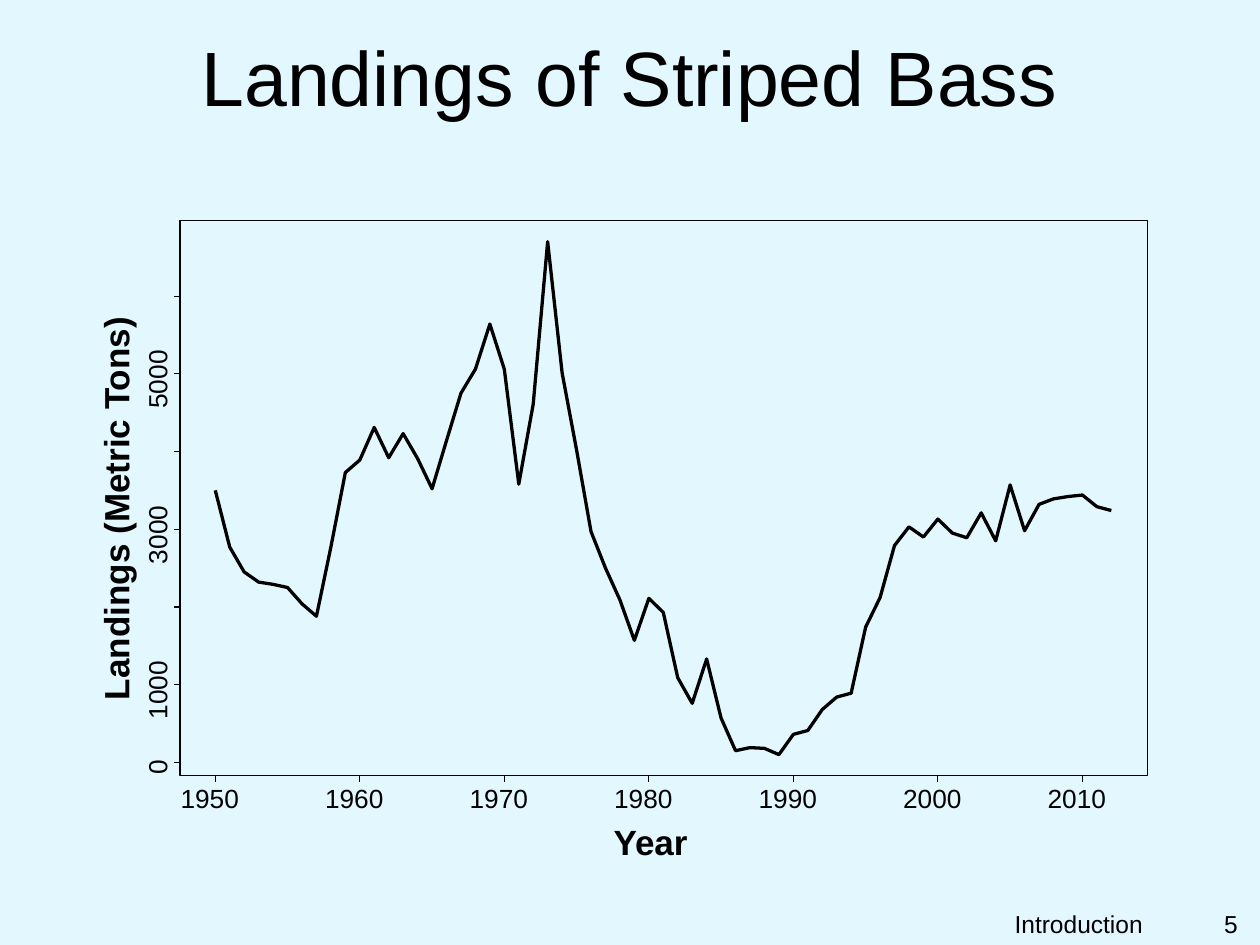
from lxml import etree
from pptx import Presentation
from pptx.dml.color import RGBColor
from pptx.enum.shapes import MSO_CONNECTOR, MSO_SHAPE
from pptx.enum.text import MSO_ANCHOR, PP_ALIGN
from pptx.oxml.ns import qn
from pptx.util import Cm, Pt

STRAIGHT = MSO_CONNECTOR.STRAIGHT
RECTANGLE = MSO_SHAPE.RECTANGLE
TOP, MIDDLE = MSO_ANCHOR.TOP, MSO_ANCHOR.MIDDLE
LEFT, CENTER, RIGHT = PP_ALIGN.LEFT, PP_ALIGN.CENTER, PP_ALIGN.RIGHT

BLACK = "000000"
BACKGROUND = "E2F7FE"
FONT = "Arial"
FRAME_LEFT, FRAME_TOP, FRAME_WIDTH, FRAME_HEIGHT = 3.63, 4.45, 19.51, 11.18
FRAME_BOTTOM = FRAME_TOP + FRAME_HEIGHT
FIRST_YEAR = 1950
LAST_TICK_YEAR = 2010
TOP_TICK = 6000
TICK = 0.13
LABEL_WIDTH, LABEL_HEIGHT = 1.4, 0.71

LANDINGS = [
    3500, 2770, 2450, 2320, 2290, 2250, 2040, 1880, 2770, 3730,
    3890, 4310, 3920, 4230, 3910, 3520, 4140, 4750, 5060, 5640,
    5060, 3580, 4610, 6700, 5010, 4020, 2970, 2500, 2090, 1570,
    2110, 1930, 1090, 760, 1330, 570, 150, 190, 180, 100,
    360, 410, 680, 840, 890, 1740, 2120, 2790, 3030, 2900,
    3130, 2950, 2890, 3210, 2850, 3570, 2980, 3320, 3390, 3420,
    3440, 3290, 3240,
]


def color(value):
    return RGBColor.from_string(value)


def year_x(year):
    return 4.34 + (year - FIRST_YEAR) * 17.48 / 60


def landing_y(tons):
    return 15.37 - tons * 9.4 / TOP_TICK


def write(frame, text, size=15, bold=False, align=LEFT, anchor=TOP):
    frame.word_wrap = True
    frame.vertical_anchor = anchor
    para = frame.paragraphs[0]
    para.alignment = align
    span = para.add_run()
    span.text = text
    span.font.name = FONT
    span.font.size = Pt(size)
    span.font.bold = bold
    span.font.color.rgb = color(BLACK)


def add_text(page, text, left, top, width, height, **style):
    box = page.shapes.add_textbox(Cm(left), Cm(top), Cm(width), Cm(height))
    write(box.text_frame, text, **style)
    return box


def add_label(page, text, left, top, width, height, rotation=0, **style):
    box = add_text(page, text, left, top, width, height, **style)
    box.rotation = rotation
    frame = box.text_frame
    frame.margin_left = frame.margin_right = 0
    frame.margin_top = frame.margin_bottom = 0


def add_line(page, x1, y1, x2, y2):
    line = page.shapes.add_connector(STRAIGHT, Cm(x1), Cm(y1), Cm(x2), Cm(y2))
    line.line.color.rgb = color(BLACK)
    line.line.width = Pt(0.63)
    etree.SubElement(line._element.spPr, qn("a:effectLst"))


def outline(shape, width):
    shape.shadow.inherit = False
    shape.fill.background()
    shape.line.color.rgb = color(BLACK)
    shape.line.width = Pt(width)


def add_curve(page):
    points = [
        (Cm(year_x(year)), Cm(landing_y(tons)))
        for year, tons in enumerate(LANDINGS, FIRST_YEAR)
    ]
    builder = page.shapes.build_freeform(*points[0])
    builder.add_line_segments(points[1:], close=False)
    outline(builder.convert_to_shape(), 1.88)


def add_year_axis(page):
    add_line(page, year_x(FIRST_YEAR), FRAME_BOTTOM, year_x(LAST_TICK_YEAR), FRAME_BOTTOM)
    for year in range(FIRST_YEAR, LAST_TICK_YEAR + 1, 10):
        x = year_x(year)
        add_line(page, x, FRAME_BOTTOM, x, FRAME_BOTTOM + TICK)
        add_label(page, str(year), x - LABEL_WIDTH / 2, 15.77, LABEL_WIDTH, LABEL_HEIGHT)
    add_label(page, "Year", 12.37, 16.54, 1.6, 0.86, size=20, bold=True)


def add_landings_axis(page):
    add_line(page, FRAME_LEFT, landing_y(0), FRAME_LEFT, landing_y(TOP_TICK))
    for tons in range(0, TOP_TICK + 1, 1000):
        y = landing_y(tons)
        add_line(page, FRAME_LEFT, y, FRAME_LEFT - TICK, y)
    for tons in (0, 1000, 3000, 5000):
        width = LABEL_WIDTH if tons else 0.5
        add_label(page, str(tons), 3.2 - width / 2, landing_y(tons) - LABEL_HEIGHT / 2,
                  width, LABEL_HEIGHT, rotation=270)
    add_label(page, "Landings (Metric Tons)", -1.55, 9.8, 7.77, 0.86,
              rotation=270, size=20, bold=True)


def add_frame(page):
    frame = page.shapes.add_shape(
        RECTANGLE, Cm(FRAME_LEFT), Cm(FRAME_TOP), Cm(FRAME_WIDTH), Cm(FRAME_HEIGHT))
    outline(frame, 0.63)


def add_title(page, text):
    title = page.shapes.title
    title.left, title.top = Cm(0.18), Cm(0.33)
    title.width, title.height = Cm(25.04), Cm(2.41)
    write(title.text_frame, text, size=44, align=CENTER, anchor=MIDDLE)


def main():
    deck = Presentation()
    deck.slide_width, deck.slide_height = Cm(25.4), Cm(19.05)
    page = deck.slides.add_slide(deck.slide_layouts[5])
    page.background.fill.solid()
    page.background.fill.fore_color.rgb = color(BACKGROUND)
    add_title(page, "Landings of Striped Bass")
    add_text(page, "Introduction", 15.24, 18.2, 8.05, 0.64, size=14, align=RIGHT)
    add_text(page, "5", 23.5, 18.2, 1.7, 0.85, size=14, align=RIGHT)
    add_curve(page)
    add_year_axis(page)
    add_landings_axis(page)
    add_frame(page)
    deck.save("out.pptx")


if __name__ == "__main__":
    main()
